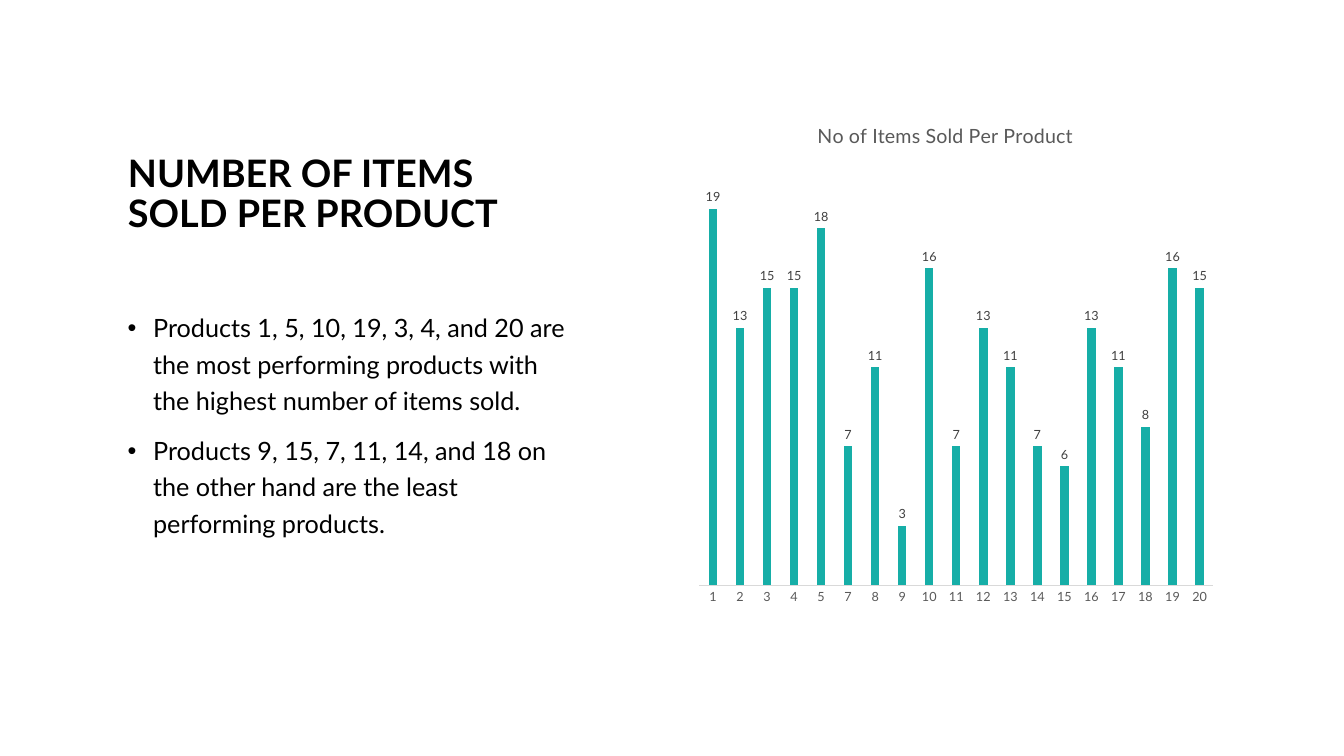
import pptx
import pptx.chart.data
import pptx.dml.color
import pptx.enum.chart
import pptx.enum.text
import pptx.oxml
import pptx.oxml.ns
import pptx.util
from pptx.util import Cm, Pt

FONT = "Lato"
BLACK, TEAL = "000000", "16AEA7"
DARK_GREY, GREY, PALE_GREY = "404040", "595959", "D9D9D9"

FINDINGS = [
    "Products 1, 5, 10, 19, 3, 4, and 20 are the most performing products "
    "with the highest number of items sold.",
    "Products 9, 15, 7, 11, 14, and 18 on the other hand are the least "
    "performing products.",
]
ITEMS_SOLD = {
    "1": 19, "2": 13, "3": 15, "4": 15, "5": 18, "7": 7, "8": 11,
    "9": 3, "10": 16, "11": 7, "12": 13, "13": 11, "14": 7, "15": 6,
    "16": 13, "17": 11, "18": 8, "19": 16, "20": 15,
}


def rgb(value):
    return pptx.dml.color.RGBColor.from_string(value)


def style_font(font, size, color, bold=False):
    font.name = FONT
    font.size = Pt(size)
    font.bold = bold
    font.color.rgb = rgb(color)


def add_bullet(paragraph, indent):
    properties = paragraph._p.get_or_add_pPr()
    properties.set("marL", str(indent))
    properties.set("indent", str(-indent))
    for tag, name, value in (("buFont", "typeface", "Arial"), ("buChar", "char", "•")):
        bullet = pptx.oxml.parse_xml(
            f'<a:{tag} {pptx.oxml.ns.nsdecls("a")} {name}="{value}"/>')
        properties.append(bullet)


def place_title(slide, left, top, width, height):
    title = slide.shapes.title
    title.left, title.top, title.width, title.height = left, top, width, height
    frame = title.text_frame
    frame.text = "NUMBER OF ITEMS SOLD PER PRODUCT"
    frame.word_wrap = True
    frame.auto_size = pptx.enum.text.MSO_AUTO_SIZE.NONE
    frame.vertical_anchor = pptx.enum.text.MSO_ANCHOR.MIDDLE
    heading = frame.paragraphs[0]
    heading.alignment = pptx.enum.text.PP_ALIGN.LEFT
    heading.line_spacing = 0.9
    style_font(heading.runs[0].font, 27, BLACK, bold=True)


def add_findings(slide, left, top, width, height):
    frame = slide.shapes.add_textbox(left, top, width, height).text_frame
    frame.word_wrap = True
    frame.text = "\n".join(FINDINGS)
    for finding in frame.paragraphs:
        finding.line_spacing = 1.2
        finding.space_before = Pt(10)
        add_bullet(finding, Cm(0.64))
        style_font(finding.runs[0].font, 18, BLACK)


def set_plot_area(chart, x, y, w, h):
    """Fix the inner plot area, in fractions of the chart."""
    plot_area = chart._chartSpace.chart.plotArea
    for old_layout in plot_area.findall(pptx.oxml.ns.qn("c:layout")):
        plot_area.remove(old_layout)
    sizes = "".join(f'<c:{tag} val="{value}"/>'
                    for tag, value in (("x", x), ("y", y), ("w", w), ("h", h)))
    plot_area.insert(0, pptx.oxml.parse_xml(
        f'<c:layout {pptx.oxml.ns.nsdecls("c")}><c:manualLayout>'
        '<c:layoutTarget val="inner"/><c:xMode val="edge"/><c:yMode val="edge"/>'
        f'{sizes}</c:manualLayout></c:layout>'))


def add_sales_chart(slide, left, top, width, height):
    sales = pptx.chart.data.CategoryChartData()
    sales.categories = list(ITEMS_SOLD)
    sales.add_series("Items sold", list(ITEMS_SOLD.values()))
    chart = slide.shapes.add_chart(
        pptx.enum.chart.XL_CHART_TYPE.COLUMN_CLUSTERED,
        left, top, width, height, sales).chart
    style_font(chart.font, 10, BLACK)
    chart.has_legend = False
    chart.has_title = True
    caption = chart.chart_title.text_frame
    caption.text = "No of Items Sold Per Product"
    style_font(caption.paragraphs[0].runs[0].font, 14, GREY)
    set_plot_area(chart, 0.05, 0.16, 0.94, 0.72)

    products = chart.category_axis
    products.major_tick_mark = pptx.enum.chart.XL_TICK_MARK.NONE
    products.format.line.color.rgb = rgb(PALE_GREY)
    products.format.line.width = Pt(0.75)
    style_font(products.tick_labels.font, 9, GREY)

    counts = chart.value_axis
    counts.minimum_scale, counts.maximum_scale = 0, 20
    counts.has_major_gridlines = False
    counts.visible = False

    columns = chart.plots[0]
    columns.vary_by_categories = False
    columns.gap_width = 219
    columns.overlap = -27
    fill = columns.series[0].format.fill
    fill.solid()
    fill.fore_color.rgb = rgb(TEAL)
    columns.has_data_labels = True
    labels = columns.data_labels
    labels.show_value = True
    labels.position = pptx.enum.chart.XL_LABEL_POSITION.OUTSIDE_END
    style_font(labels.font, 9, DARK_GREY)


def main():
    deck = pptx.Presentation()
    deck.slide_width, deck.slide_height = Cm(33.87), Cm(19.05)
    slide = deck.slides.add_slide(deck.slide_layouts[5])
    text_left, text_width = Cm(2.97), Cm(11.58)
    place_title(slide, text_left, Cm(3.18), text_width, Cm(3.48))
    add_findings(slide, text_left, Cm(7.6), text_width, Cm(8.28))
    add_sales_chart(slide, Cm(16.94), Cm(2.54), Cm(13.77), Cm(13.87))
    deck.save("out.pptx")


if __name__ == "__main__":
    main()
